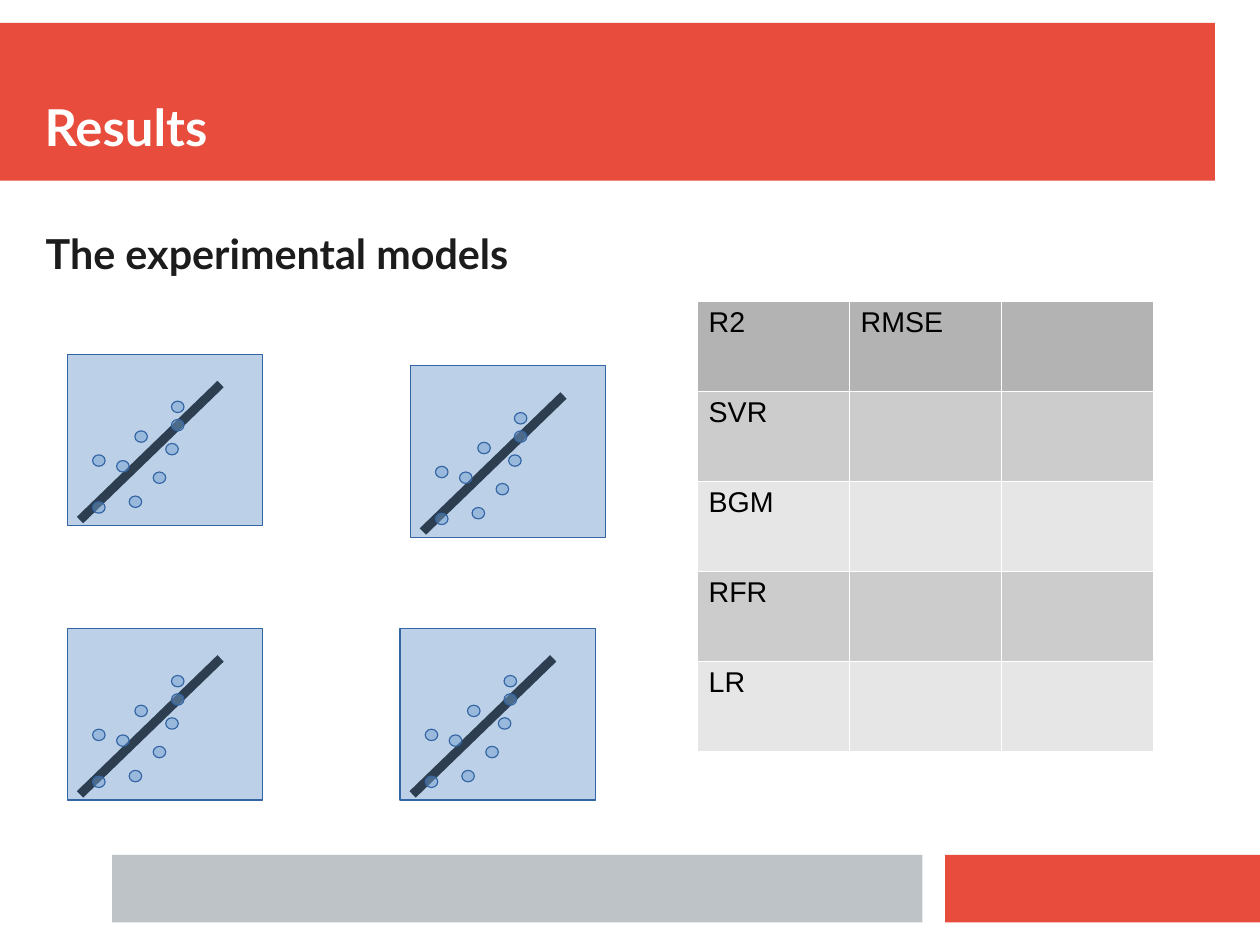
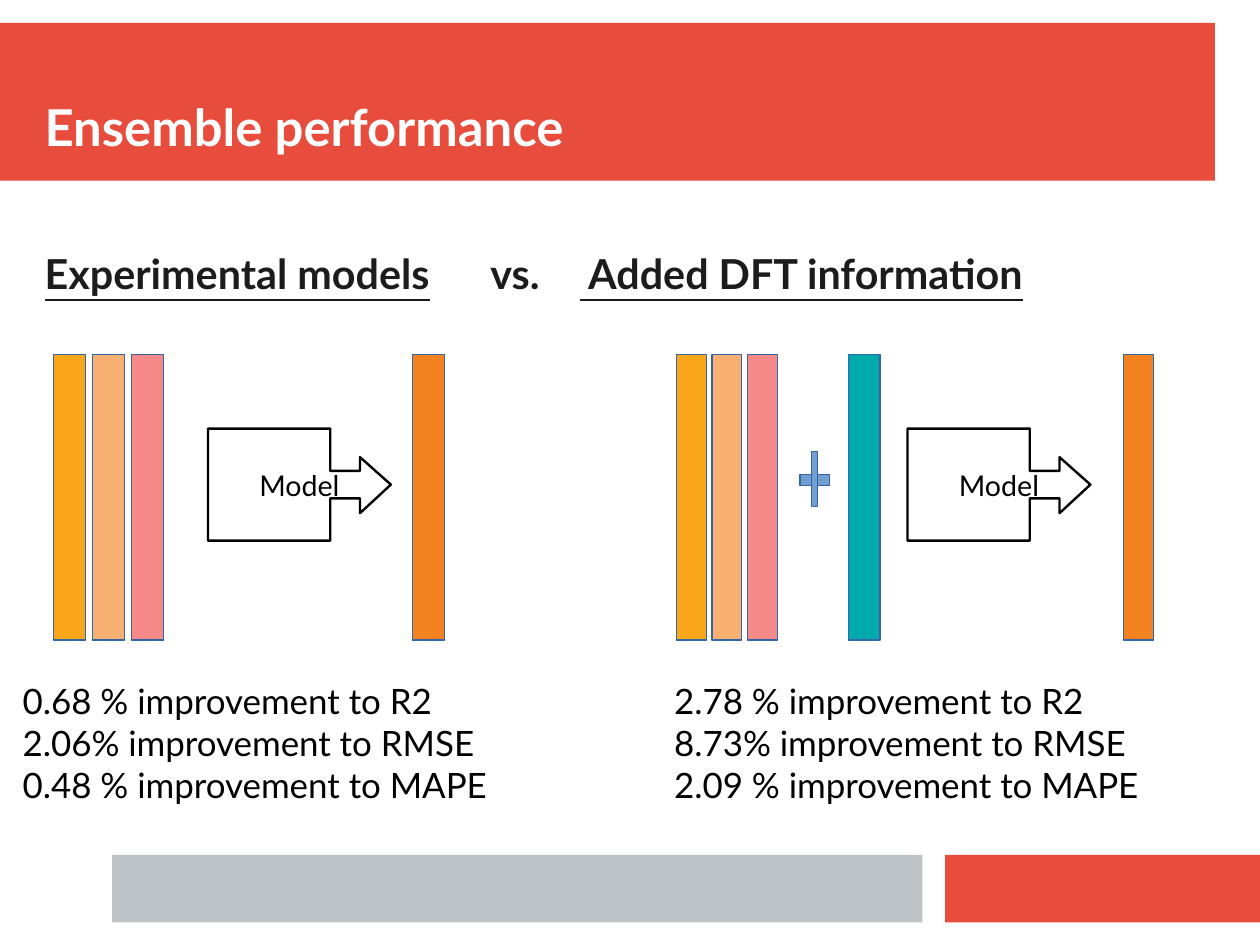
import pptx
import pptx.util
import pptx.dml.color
import pptx.enum.shapes
import pptx.enum.text
import pptx.oxml
import pptx.oxml.ns
from dataclasses import dataclass

Inches, Pt = pptx.util.Inches, pptx.util.Pt
Preset = pptx.enum.shapes.MSO_SHAPE
Anchor = pptx.enum.text.MSO_ANCHOR
Align = pptx.enum.text.PP_ALIGN
qn, nsdecls = pptx.oxml.ns.qn, pptx.oxml.ns.nsdecls


# Theme
@dataclass(frozen=True)
class Theme:
    red: str = "E74C3C"
    grey: str = "BDC3C7"
    white: str = "FFFFFF"
    black: str = "000000"
    ink: str = "1C1C1C"
    trend: str = "2C3E50"
    blue: str = "729FCF"
    outline: str = "3465A4"
    amber: str = "FAA61A"
    orange: str = "F58220"
    coral: str = "EF413D"
    teal: str = "00AAAD"
    header: str = "B3B3B3"
    stripes: tuple = ("CCCCCC", "E6E6E6")
    font: str = "Lato"
    table_font: str = "Arial"
    title_size: int = 32
    heading_size: int = 26
    result_size: int = 22
    label_size: int = 18
    heading_after: float = 11.4


theme = Theme()

# Slide size: 28 by 21 centimetres
CENTIMETRES_PER_INCH = 2.54
SLIDE_SIZE = (28 / CENTIMETRES_PER_INCH, 21 / CENTIMETRES_PER_INCH)

# Content: shared bands (left, top, width, height, colour)
BANDS = [
    (0, 0.2, 10.63, 1.38, theme.red),
    (8.27, 7.48, 2.76, 0.59, theme.red),
    (0.98, 7.48, 7.09, 0.59, theme.grey),
]

# Content: results slide
SCORES = [("R2", "RMSE", ""), ("SVR", "", ""), ("BGM", "", ""),
          ("RFR", "", ""), ("LR", "", "")]
TABLE_BOX = (6.1, 2.63, 3.99, 3.94)
PANEL_ORIGINS = [(0.59, 5.5), (0.59, 3.1), (3.5, 5.5), (3.59, 3.2)]
PANEL_SIZE = (1.71, 1.5)
TREND = ((0.11, 1.45), (1.34, 0.26))
DOT_SIZE = (0.11, 0.1)
DOTS = [(0.91, 0.57), (0.75, 1.03), (0.22, 0.88), (0.43, 0.93), (0.54, 1.24),
        (0.59, 0.67), (0.91, 0.41), (0.86, 0.78), (0.22, 1.29)]

# Content: ensemble slide
COMPARISON = [("Experimental models", True), ("\tvs.\t", False),
              (" Added DFT information", True)]
COMPARISON_TABS = (3.9, 4.68)
BAR_TOP, BAR_HEIGHT = 3.1, 2.5
INPUT_COLOURS = [(theme.amber, 100), (theme.orange, 63), (theme.coral, 61)]
PIPELINES = [
    dict(inputs=0.47, width=0.28, gap=0.06, model=1.82, output=3.61,
         results=(0.1, 5.24),
         lines=["0.68 % improvement to R2", "2.06% improvement to RMSE",
                "0.48 % improvement to MAPE"]),
    dict(inputs=5.92, width=0.26, gap=0.05, model=7.94, output=9.83,
         results=(5.8, 4.7),
         lines=["2.78 % improvement to R2", "8.73% improvement to RMSE",
                "2.09 % improvement to MAPE"]),
]
DFT_BAR = (7.42, BAR_TOP, 0.28, BAR_HEIGHT)
PLUS_STROKES = [(7, 4.15, 0.26, 0.1), (7.1, 3.95, 0.05, 0.48)]
MODEL_TOP = 3.75
MODEL_OUTLINE = [(0, 0), (1.07, 0), (1.07, 0.37), (1.33, 0.37), (1.33, 0.25),
                 (1.6, 0.49), (1.33, 0.74), (1.33, 0.61), (1.07, 0.61),
                 (1.07, 0.98), (0, 0.98)]


# Helpers
def rgb(colour):
    return pptx.dml.color.RGBColor.from_string(colour)


def write_text(frame, paragraphs, *, size, color=theme.black, font=theme.font,
               bold=False, align=None, anchor=Anchor.TOP, wrap=True,
               margins=(0.1, 0.05), after=None, tabs=()):
    """Each paragraph is a string or a list of (text, underlined) runs."""
    frame.word_wrap = wrap
    frame.vertical_anchor = anchor
    frame.margin_left = frame.margin_right = Inches(margins[0])
    frame.margin_top = frame.margin_bottom = Inches(margins[1])
    for index, runs in enumerate(paragraphs):
        paragraph = frame.add_paragraph() if index else frame.paragraphs[0]
        paragraph.alignment = align
        if after is not None:
            paragraph.space_after = Pt(after)
        if tabs:
            stops = "".join(f'<a:tab pos="{Inches(stop)}" algn="l"/>' for stop in tabs)
            paragraph._p.get_or_add_pPr().append(pptx.oxml.parse_xml(
                f'<a:tabLst {nsdecls("a")}>{stops}</a:tabLst>'))
        for text, underlined in [(runs, False)] if isinstance(runs, str) else runs:
            run = paragraph.add_run()
            run.text = text
            run.font.name = font
            run.font.size = Pt(size)
            run.font.bold = bold
            run.font.underline = underlined
            run.font.color.rgb = rgb(color)


def add_text(slide, box, paragraphs, **text_format):
    text_box = slide.shapes.add_textbox(*map(Inches, box))
    write_text(text_box.text_frame, paragraphs, **text_format)


def add_block(slide, box, fill, *, opacity=100, line=theme.outline, preset=Preset.RECTANGLE):
    shape = slide.shapes.add_shape(preset, *map(Inches, box))
    shape.shadow.inherit = False
    shape.fill.solid()
    shape.fill.fore_color.rgb = rgb(fill)
    if opacity < 100:
        color = shape.element.spPr.find(qn("a:solidFill"))[0]
        color.append(pptx.oxml.parse_xml(
            f'<a:alpha {nsdecls("a")} val="{opacity * 1000}"/>'))
    if line:
        shape.line.color.rgb = rgb(line)
        shape.line.width = Pt(0.75)
    else:
        shape.line.fill.background()
    return shape


def add_titled_slide(title):
    slide = presentation.slides.add_slide(layout)
    add_text(slide, (0.39, 0.39, 10.24, 0.98), [title], size=theme.title_size,
             color=theme.white, bold=True, anchor=Anchor.BOTTOM, margins=(0, 0))
    return slide


def add_heading(slide, box, runs, **text_format):
    add_text(slide, box, [runs], size=theme.heading_size, color=theme.ink,
             bold=True, margins=(0, 0), after=theme.heading_after, **text_format)


def add_scatter(slide, left, top):
    add_block(slide, (left, top, *PANEL_SIZE), theme.blue, opacity=47)
    ends = [Inches(value) for x, y in TREND for value in (left + x, top + y)]
    trend = slide.shapes.add_connector(pptx.enum.shapes.MSO_CONNECTOR.STRAIGHT, *ends)
    trend.line.color.rgb = rgb(theme.trend)
    trend.line.width = Pt(5.67)
    trend.element.spPr.append(pptx.oxml.parse_xml(f'<a:effectLst {nsdecls("a")}/>'))
    for x, y in DOTS:
        add_block(slide, (left + x, top + y, *DOT_SIZE), theme.blue,
                  opacity=47, preset=Preset.OVAL)


def add_score_table(slide):
    frame = slide.shapes.add_table(len(SCORES), len(SCORES[0]), *map(Inches, TABLE_BOX))
    table = frame.table
    table.first_row = table.horz_banding = False
    for row_index, row in enumerate(SCORES):
        fill = theme.stripes[(row_index - 1) % 2] if row_index else theme.header
        for column_index, text in enumerate(row):
            cell = table.cell(row_index, column_index)
            properties = cell._tc.get_or_add_tcPr()
            for side in "LRTB":
                properties.append(pptx.oxml.parse_xml(
                    f'<a:ln{side} {nsdecls("a")} w="{Pt(0.06)}"><a:solidFill>'
                    f'<a:srgbClr val="{theme.white}"/></a:solidFill></a:ln{side}>'))
            cell.fill.solid()
            cell.fill.fore_color.rgb = rgb(fill)
            if text:
                write_text(cell.text_frame, [text], size=theme.label_size,
                           font=theme.table_font)


def add_model_arrow(slide, left):
    points = [(Inches(left + x), Inches(MODEL_TOP + y)) for x, y in MODEL_OUTLINE]
    builder = slide.shapes.build_freeform(*points[0])
    builder.add_line_segments(points[1:], close=True)
    arrow = builder.convert_to_shape()
    arrow.shadow.inherit = False
    arrow.fill.background()
    arrow.line.color.rgb = rgb(theme.black)
    arrow.line.width = Pt(1.5)
    write_text(arrow.text_frame, ["Model"], size=theme.label_size, align=Align.CENTER,
               anchor=Anchor.MIDDLE, wrap=False, margins=(0.11, 0.06))


def add_pipeline(slide, *, inputs, width, gap, model, output, results, lines):
    left, text_width = results
    add_text(slide, (left, 5.9, text_width, 1.6), lines, size=theme.result_size)
    for index, (colour, opacity) in enumerate(INPUT_COLOURS):
        box = (inputs + index * (width + gap), BAR_TOP, width, BAR_HEIGHT)
        add_block(slide, box, colour, opacity=opacity)
    add_block(slide, (output, BAR_TOP, width, BAR_HEIGHT), theme.orange)
    add_model_arrow(slide, model)


# Presentation and shared layout
presentation = pptx.Presentation()
presentation.slide_width, presentation.slide_height = map(Inches, SLIDE_SIZE)
# The default 4:3 screen label does not fit this custom size
presentation.element.find(qn("p:sldSz")).attrib.pop("type", None)
layout = presentation.slide_layouts[6]
for placeholder in list(layout.placeholders):
    layout.shapes.element.remove(placeholder.element)

# Results slide; its bands move to the layout so that every slide shows them
results_slide = add_titled_slide("Results")
for *band_box, band_colour in BANDS:
    band = add_block(results_slide, band_box, band_colour, line=None)
    layout.shapes.element.append(band.element)
add_heading(results_slide, (0.4, 2, 10.04, 5.12), "The experimental models")
for origin in PANEL_ORIGINS:
    add_scatter(results_slide, *origin)
add_score_table(results_slide)

# Ensemble slide
ensemble_slide = add_titled_slide("Ensemble performance")
add_heading(ensemble_slide, (0.39, 2.17, 9.91, 0.73), COMPARISON, tabs=COMPARISON_TABS)
for pipeline in PIPELINES:
    add_pipeline(ensemble_slide, **pipeline)
for stroke in PLUS_STROKES:
    add_block(ensemble_slide, stroke, theme.blue, preset=Preset.FLOWCHART_PROCESS)
add_block(ensemble_slide, DFT_BAR, theme.teal)

presentation.save("out.pptx")
